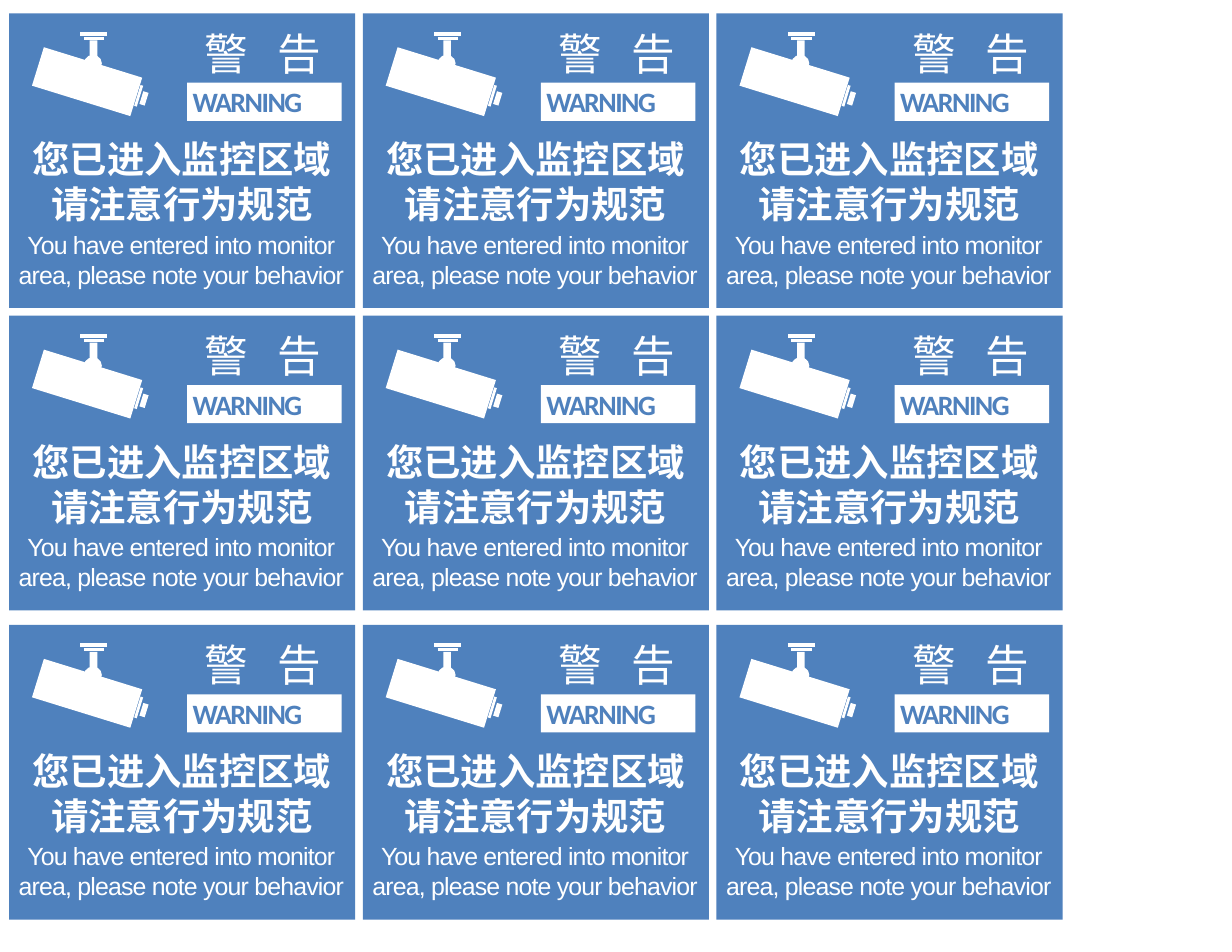
from dataclasses import dataclass

from lxml import etree
from pptx import Presentation
from pptx.dml.color import RGBColor
from pptx.enum.shapes import MSO_CONNECTOR, MSO_SHAPE
from pptx.enum.text import MSO_AUTO_SIZE, PP_ALIGN
from pptx.oxml.ns import qn
from pptx.util import Pt

RECT, OVAL = MSO_SHAPE.RECTANGLE, MSO_SHAPE.OVAL
STRAIGHT = MSO_CONNECTOR.STRAIGHT
LEFT, CENTER = PP_ALIGN.LEFT, PP_ALIGN.CENTER


@dataclass(frozen=True)
class Style:
    size: float
    font: str
    color: RGBColor
    bold: bool = False
    tracking: float = 0
    line_height: float = 0


@dataclass(frozen=True)
class Theme:
    blue = RGBColor(0x4F, 0x81, 0xBD)
    white = RGBColor(0xFF, 0xFF, 0xFF)
    heading = Style(28, "Calibri", white)
    label = Style(18, "Calibri", blue, bold=True, tracking=-1)
    notice = Style(24, "Noto Sans CJK TC", white, bold=True, line_height=28.9)
    translation = Style(16, "Arial", white, tracking=-0.5)


THEME = Theme()

SIGN_SIZE = (222.5, 189.4)
COLUMN_LEFT, COLUMN_STEP, COLUMNS = 5.8, 227.4, 3
ROW_TOPS = (8.6, 203, 401.8)
CAMERA_TILT = 17.2


def place(origin, box):
    """Turn a box relative to origin into slide lengths."""
    left, top, width, height = box
    return Pt(origin[0] + left), Pt(origin[1] + top), Pt(width), Pt(height)


def add_block(group, origin, box, color, kind=RECT, tilt=0):
    block = group.shapes.add_shape(kind, *place(origin, box))
    block.shadow.inherit = False
    block.fill.solid()
    block.fill.fore_color.rgb = color
    block.line.fill.background()
    block.rotation = tilt


def add_line(group, origin, start, end, weight):
    x, y = origin
    line = group.shapes.add_connector(
        STRAIGHT, Pt(x + start[0]), Pt(y + start[1]), Pt(x + end[0]), Pt(y + end[1]))
    line.line.color.rgb = THEME.white
    line.line.width = Pt(weight)
    etree.SubElement(line._element.spPr, qn("a:effectLst"))


def add_span(para, text, style):
    span = para.add_run()
    span.text = text
    font = span.font
    font.size, font.name, font.bold = Pt(style.size), style.font, style.bold
    font.color.rgb = style.color
    properties = span._r.get_or_add_rPr()
    if style.tracking:
        properties.set("spc", str(int(style.tracking * 100)))
    etree.SubElement(properties, qn("a:ea"), typeface=style.font)


def add_text(group, origin, box, paragraphs, style, align=LEFT, wrap=False, tab=0):
    """Write paragraphs, each a list of lines parted by line breaks."""
    frame = group.shapes.add_textbox(*place(origin, box)).text_frame
    frame.word_wrap = wrap
    frame.auto_size = MSO_AUTO_SIZE.SHAPE_TO_FIT_TEXT
    for index, lines in enumerate(paragraphs):
        para = frame.add_paragraph() if index else frame.paragraphs[0]
        para.alignment = align
        if style.line_height:
            para.line_spacing = Pt(style.line_height)
        if tab:
            stops = etree.SubElement(para._p.get_or_add_pPr(), qn("a:tabLst"))
            etree.SubElement(stops, qn("a:tab"), pos=str(Pt(tab)), algn="l")
        for number, line in enumerate(lines):
            if number:
                para.add_line_break()
            add_span(para, line, style)


def add_camera(group, origin):
    white = THEME.white
    add_block(group, origin, (0, 18, 66.2, 25.9), white, tilt=CAMERA_TILT)
    add_block(group, origin, (67.9, 37.4, 3.6, 8.6), white, tilt=CAMERA_TILT)
    add_line(group, origin, (68.3, 33.3), (64.2, 46.7), 1.75)
    add_block(group, origin, (31.1, 13.7, 11.5, 10.8), white, OVAL)
    add_block(group, origin, (34.7, 4.3, 5, 17.3), white)
    add_line(group, origin, (31, 2.9), (44, 2.9), 2)
    add_line(group, origin, (28.8, 0), (46.2, 0), 2.5)


def add_heading(group, origin):
    add_text(group, origin, (4.3, 0, 90.7, 41), [["警\t告"]], THEME.heading, tab=47)
    add_block(group, origin, (0, 39.6, 99.4, 24.5), THEME.white)
    add_text(group, origin, (-3.6, 37.4, 115.9, 28.8), [["WARNING"]],
             THEME.label, wrap=True)


def add_message(group, origin):
    add_text(group, origin, (8.5, 0, 209.5, 65.5),
             [["您已进入监控区域", "请注意行为规范"]], THEME.notice, CENTER)
    add_text(group, origin, (0, 59.8, 226.1, 46.1),
             [["You have entered into monitor"], ["area, please note your behavior"]],
             THEME.translation, CENTER)


def add_sign(page, left, top):
    group = page.shapes.add_group_shape()
    add_block(group, (left, top), (0, 0, *SIGN_SIZE), THEME.blue)
    add_heading(group, (left + 114.5, top + 5))
    add_message(group, (left - 2.2, top + 75.6))
    add_camera(group, (left + 17.1, top + 13))


def main():
    deck = Presentation()
    deck.slide_width, deck.slide_height = Pt(792), Pt(612)
    page = deck.slides.add_slide(deck.slide_layouts[6])
    for top in ROW_TOPS:
        for column in range(COLUMNS):
            add_sign(page, COLUMN_LEFT + column * COLUMN_STEP, top)
    deck.save("out.pptx")


if __name__ == "__main__":
    main()
